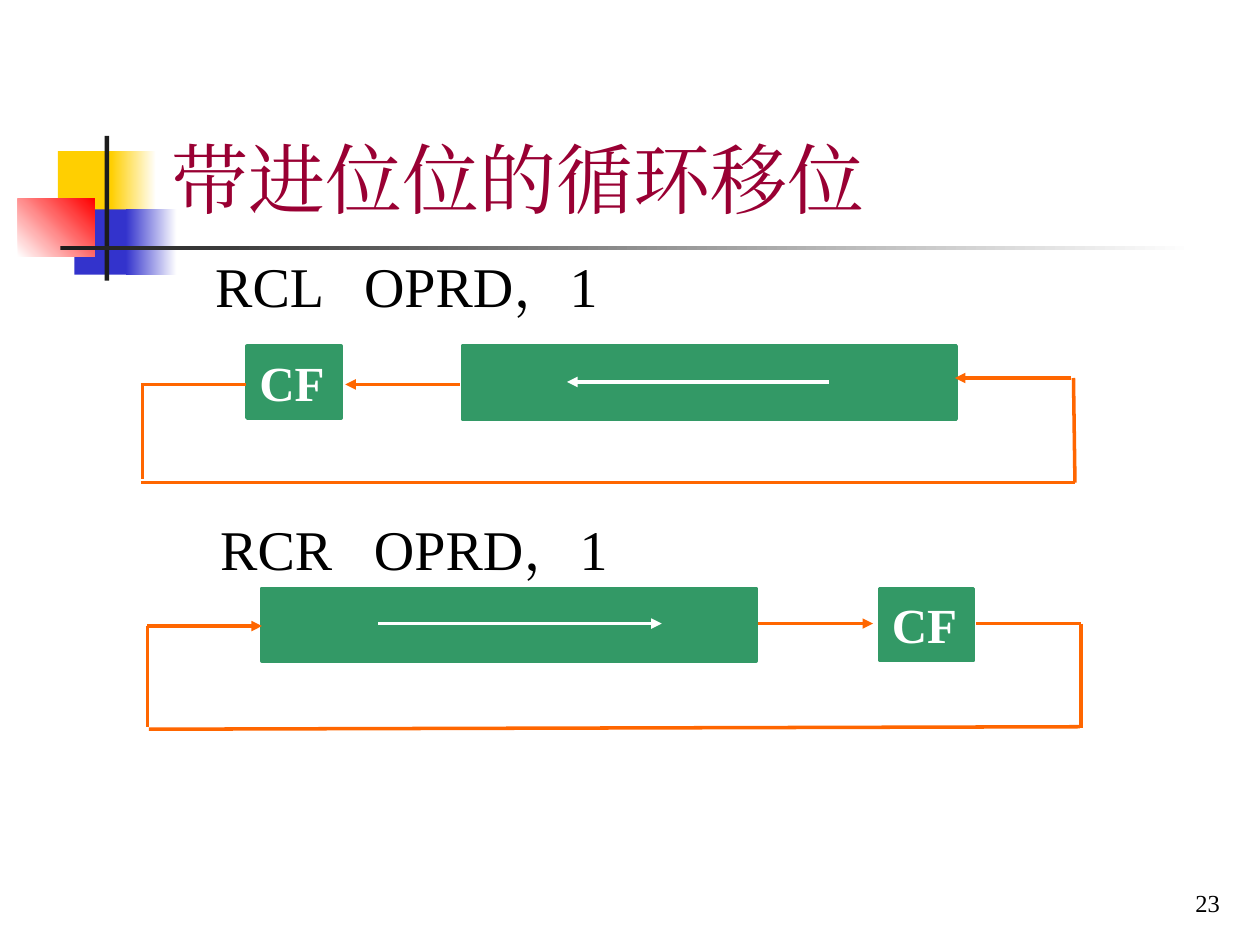
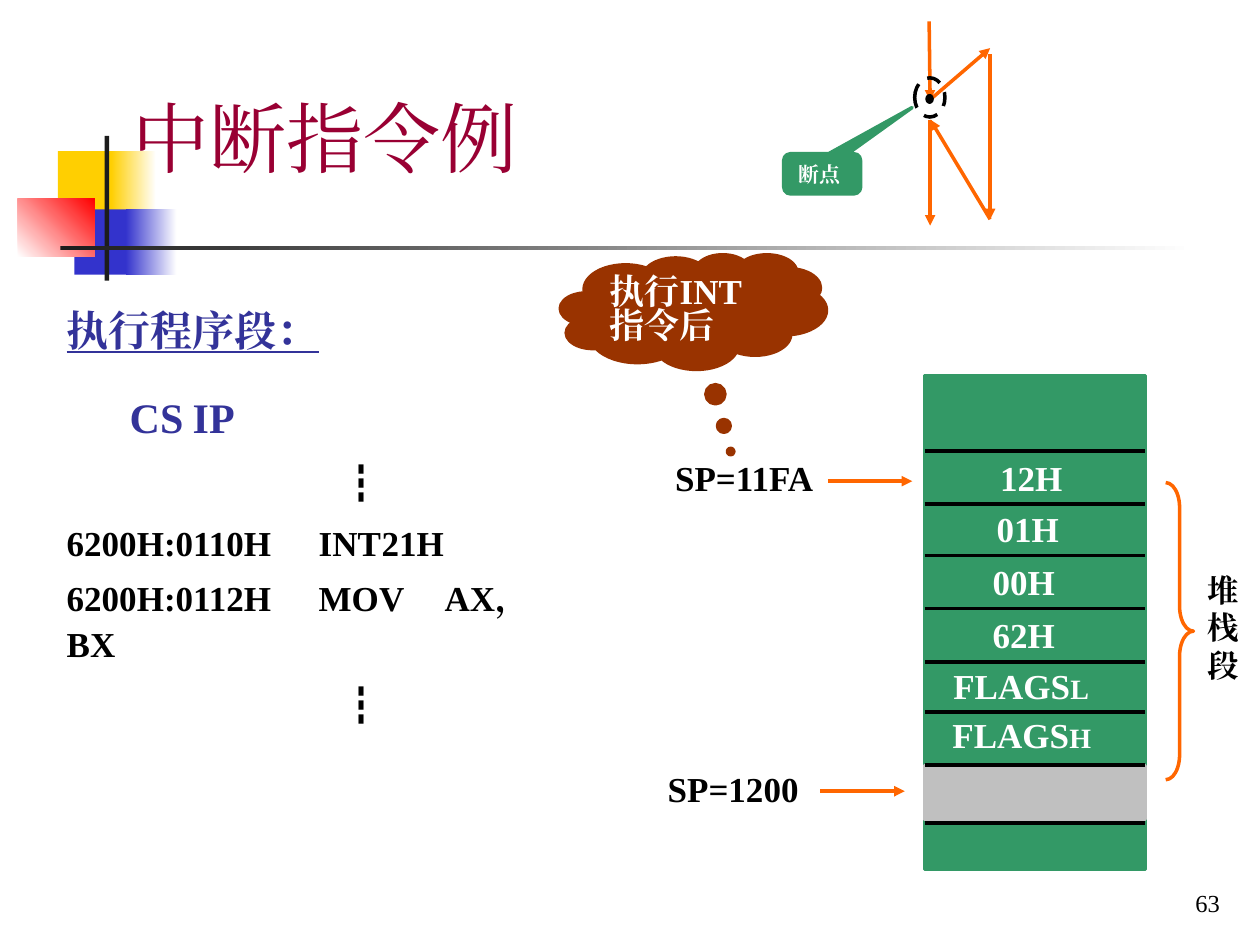
"""Build two slides on rotate-through-carry shifts and the interrupt instruction."""
from lxml import etree
from pptx import Presentation
from pptx.dml.color import RGBColor
from pptx.enum.dml import MSO_LINE
from pptx.enum.shapes import MSO_CONNECTOR, MSO_SHAPE
from pptx.enum.text import MSO_ANCHOR, MSO_AUTO_SIZE, PP_ALIGN
from pptx.oxml.ns import qn
from pptx.util import Cm, Pt

RECTANGLE = MSO_SHAPE.RECTANGLE
OVAL = MSO_SHAPE.OVAL
BRACE = MSO_SHAPE.RIGHT_BRACE
CLOUD = MSO_SHAPE.CLOUD_CALLOUT
CALLOUT = MSO_SHAPE.ROUNDED_RECTANGULAR_CALLOUT
STRAIGHT = MSO_CONNECTOR.STRAIGHT
DASH = MSO_LINE.DASH
TOP, BOTTOM = MSO_ANCHOR.TOP, MSO_ANCHOR.BOTTOM
LEFT, CENTER, RIGHT = PP_ALIGN.LEFT, PP_ALIGN.CENTER, PP_ALIGN.RIGHT
NO_AUTOFIT = MSO_AUTO_SIZE.NONE

SERIF, SANS = "Times New Roman", "Noto Sans CJK SC"
WHITE, BLACK, INK = "FFFFFF", "000000", "1C1C1C"
GREEN, ORANGE, BROWN, GRAY = "339966", "FF6600", "993300", "C0C0C0"
YELLOW, BLUE, RED = "FFCF01", "3333CC", "FF0000"
TITLE_COLOR, HEADING_COLOR = "990033", "333399"
color = RGBColor.from_string


def add_run(paragraph, text, size, text_color, bold=False, font_name=SERIF):
    run = paragraph.add_run()
    run.text = text
    run.font.size = Pt(size)
    run.font.bold = bold
    run.font.color.rgb = color(text_color)
    run.font.name = font_name
    etree.SubElement(run._r.get_or_add_rPr(), qn("a:ea"), typeface=font_name)
    return run


def add_box(slide, preset, box, fill=None, outline=None, runs=(), text_color=WHITE,
            bold=True, align=LEFT, anchor=TOP, tab=None):
    lengths = [Cm(length) for length in box]
    if preset is None:
        shape = slide.shapes.add_textbox(*lengths)
    else:
        shape = slide.shapes.add_shape(preset, *lengths)
        shape.shadow.inherit = False
        shape.line.color.rgb = color(outline or fill)
        shape.line.width = Pt(2)
        if fill:
            shape.fill.solid()
            shape.fill.fore_color.rgb = color(fill)
        else:
            shape.fill.background()
    frame = shape.text_frame
    frame.word_wrap = True
    frame.vertical_anchor = anchor
    paragraph = frame.paragraphs[0]
    paragraph.alignment = align
    if tab:
        tabs = etree.SubElement(paragraph._p.get_or_add_pPr(), qn("a:tabLst"))
        etree.SubElement(tabs, qn("a:tab"), pos=str(Cm(tab)), algn="l")
    for text, size in runs:
        add_run(paragraph, text, size, text_color, bold)
    return shape


presentation = Presentation()
presentation.slide_width, presentation.slide_height = Cm(25.4), Cm(19.05)
layouts = presentation.slide_layouts
rotate_slide = presentation.slides.add_slide(layouts[5])
interrupt_slide = presentation.slides.add_slide(layouts[1])

decorations = [
    ((1.17, 3.05, 1.22, 1.32), YELLOW, None, 0),
    ((2.24, 3.05, 0.91, 1.32), YELLOW, WHITE, 0),
    ((1.5, 4.22, 1.17, 1.32), BLUE, None, 0),
    ((2.54, 4.22, 1.02, 1.32), BLUE, WHITE, 0),
    ((0.36, 4.01, 1.55, 1.17), WHITE, RED, 45),
    ((2.11, 2.74, 0.09, 2.92), INK, None, 0),
    ((1.22, 4.95, 22.86, 0.09), INK, WHITE, 0),
]
master_tree = presentation.slide_master.shapes.element
for index, (box, start, end, angle) in enumerate(decorations):
    shape = add_box(rotate_slide, RECTANGLE, box, start)
    shape.line.fill.background()
    if end:
        shape.fill.gradient()
        shape.fill.gradient_angle = angle
        for stop, stop_color in zip(shape.fill.gradient_stops, (start, end)):
            stop.color.rgb = color(stop_color)
    master_tree.insert(2 + index, shape.element)

for slide, title_text, left, top, number in (
    (rotate_slide, "带进位位的循环移位", 3.2, 0.58, "23"),
    (interrupt_slide, "中断指令例", 2.41, -0.25, "63"),
):
    title = slide.shapes.title
    title.left, title.top, title.width, title.height = Cm(left), Cm(top), Cm(21.64), Cm(4.06)
    title.text_frame.auto_size = NO_AUTOFIT
    title.text_frame.vertical_anchor = BOTTOM
    paragraph = title.text_frame.paragraphs[0]
    paragraph.alignment = LEFT
    add_run(paragraph, title_text, 44, TITLE_COLOR)
    add_box(slide, None, (19.56, 17.35, 5.28, 1.27), runs=[(number, 14)],
            text_color=BLACK, bold=False, align=RIGHT, anchor=BOTTOM)

for instruction, left, top, tab, register_left, flag_left, box_top in (
    ("RCL\tOPRD，1", 4.09, 4.95, 3, 9.32, 4.98, 6.98),
    ("RCR\tOPRD，1", 4.19, 10.24, 3.1, 5.28, 17.73, 11.86),
):
    add_box(rotate_slide, None, (left, top, 12.57, 1.63), runs=[(instruction, 32)],
            text_color=BLACK, bold=False, tab=tab)
    add_box(rotate_slide, RECTANGLE, (register_left, box_top, 9.96, 1.47), GREEN)
    add_box(rotate_slide, RECTANGLE, (flag_left, box_top, 1.9, 1.45), GREEN, runs=[("CF", 28)])

body = interrupt_slide.placeholders[1]
body.left, body.top, body.width, body.height = Cm(1.09), Cm(5.92), Cm(10.41), Cm(9.22)
body.text_frame.auto_size = NO_AUTOFIT
program = [
    ("执行程序段：", 24, HEADING_COLOR, SERIF, 0, (), 0, 13.5),
    ("\tCS\tIP", 24, HEADING_COLOR, SERIF, 0, (0.19, 2.74), 4.5, 1.5),
    ("┇", 24, BLACK, SANS, 5.51, (), 4.5, 1.5),
    ("6200H:0110H\tINT\t21H", 20, BLACK, SERIF, 0, (4.66, 6.25), 3.7, 1.2),
    ("6200H:0112H\tMOV\tAX，BX", 20, BLACK, SERIF, 0, (4.66, 6.98), 3.7, 1.2),
    ("┇", 24, BLACK, SANS, 5.51, (), 4.5, 1.5),
]
for index, (text, size, text_color, font_name, indent, stops, before, after) in enumerate(program):
    frame = body.text_frame
    paragraph = frame.add_paragraph() if index else frame.paragraphs[0]
    properties = paragraph._p.get_or_add_pPr()
    properties.set("marL", str(Cm(indent)))
    properties.set("indent", "0")
    etree.SubElement(properties, qn("a:buNone"))
    if stops:
        tabs = etree.SubElement(properties, qn("a:tabLst"))
        for stop in stops:
            etree.SubElement(tabs, qn("a:tab"), pos=str(Cm(stop)), algn="l")
    paragraph.line_spacing = 1.1
    paragraph.space_before, paragraph.space_after = Pt(before), Pt(after)
    run = add_run(paragraph, text, size, text_color, True, font_name)
    run.font.underline = index == 0

add_box(interrupt_slide, RECTANGLE, (18.64, 7.57, 4.45, 9.96), GREEN)
add_box(interrupt_slide, RECTANGLE, (18.64, 15.44, 4.45, 1.07), GRAY)
for runs, left, top, text_color in (
    ([("12H", 20)], 19.91, 9.07, WHITE),
    ([("01H", 20)], 19.84, 10.11, WHITE),
    ([("00H", 20)], 19.76, 11.18, WHITE),
    ([("62H", 20)], 19.76, 12.24, WHITE),
    ([("FLAGS", 20), ("L", 16)], 18.97, 13.28, WHITE),
    ([("FLAGS", 20), ("H", 16)], 18.95, 14.25, WHITE),
    ([("SP=11FA", 20)], 13.36, 9.07, BLACK),
    ([("SP=1200", 20)], 13.21, 15.34, BLACK),
):
    add_box(interrupt_slide, None, (left, top, 4, 1.12), runs=runs, text_color=text_color)

cloud = add_box(interrupt_slide, CLOUD, (11.3, 5.13, 5.36, 2.31), BROWN,
                runs=[("执行INT指令后", 20)])
cloud.adjustments[0], cloud.adjustments[1] = 0.14, 1.22
cloud.text_frame.paragraphs[0].line_spacing = 0.8
brace = add_box(interrupt_slide, BRACE, (23.5, 9.73, 0.56, 5.99), outline=ORANGE)
brace.adjustments[0] = 0.89
add_box(interrupt_slide, None, (24.03, 11.38, 1.27, 2.54), runs=[("堆栈段", 18)],
        text_color=BLACK, align=CENTER)

rotate_lines = [
    (WHITE, True, (16.71, 7.7, 11.43, 7.7)),
    (ORANGE, True, (21.59, 7.62, 19.25, 7.62)),
    (ORANGE, True, (9.27, 7.75, 6.96, 7.75)),
    (ORANGE, False, (2.84, 7.75, 4.95, 7.75)),
    (ORANGE, False, (2.87, 7.75, 2.87, 9.65)),
    (ORANGE, False, (2.84, 9.73, 21.67, 9.73)),
    (ORANGE, False, (21.64, 7.62, 21.67, 9.73)),
    (WHITE, True, (7.62, 12.57, 13.34, 12.57)),
    (ORANGE, True, (15.29, 12.57, 17.6, 12.57)),
    (ORANGE, True, (2.97, 12.62, 5.28, 12.62)),
    (ORANGE, False, (2.97, 12.62, 2.97, 14.66)),
    (ORANGE, False, (3, 14.7, 21.77, 14.65)),
    (ORANGE, False, (21.79, 12.57, 21.79, 14.68)),
    (ORANGE, False, (19.68, 12.57, 21.79, 12.57)),
]
interrupt_lines = [
    (BLACK, False, (18.64, height, 23.09, height))
    for height in (9.09, 10.16, 11.2, 12.27, 13.34, 14.35, 15.42, 16.59)
]
interrupt_lines += [
    (ORANGE, True, ends)
    for ends in (
        (16.69, 9.7, 18.39, 9.7),
        (16.54, 15.95, 18.24, 15.95),
        (18.73, 0.43, 18.75, 2.03),
        (18.75, 2.01, 19.96, 0.97),
        (19.96, 1.09, 19.96, 4.42),
        (19.96, 4.42, 18.75, 2.41),
        (18.75, 2.41, 18.75, 4.55),
    )
]
for slide, lines in ((rotate_slide, rotate_lines), (interrupt_slide, interrupt_lines)):
    for line_color, has_arrow, ends in lines:
        connector = slide.shapes.add_connector(STRAIGHT, *[Cm(length) for length in ends])
        connector.line.color.rgb = color(line_color)
        connector.line.width = Pt(2)
        properties = connector.element.spPr
        if has_arrow:
            etree.SubElement(properties.find(qn("a:ln")), qn("a:tailEnd"), type="triangle")
        etree.SubElement(properties, qn("a:effectLst"))

ring = add_box(interrupt_slide, OVAL, (18.44, 1.57, 0.61, 0.79), outline=BLACK)
ring.line.dash_style = DASH
breakpoint_label = add_box(interrupt_slide, CALLOUT, (15.8, 3.1, 1.55, 0.81), GREEN,
                           runs=[("断点", 12)])
breakpoint_label.adjustments[0], breakpoint_label.adjustments[1] = 1.17, -1.65
add_box(interrupt_slide, OVAL, (18.69, 1.93, 0.1, 0.13), BLACK)

presentation.save("out.pptx")
